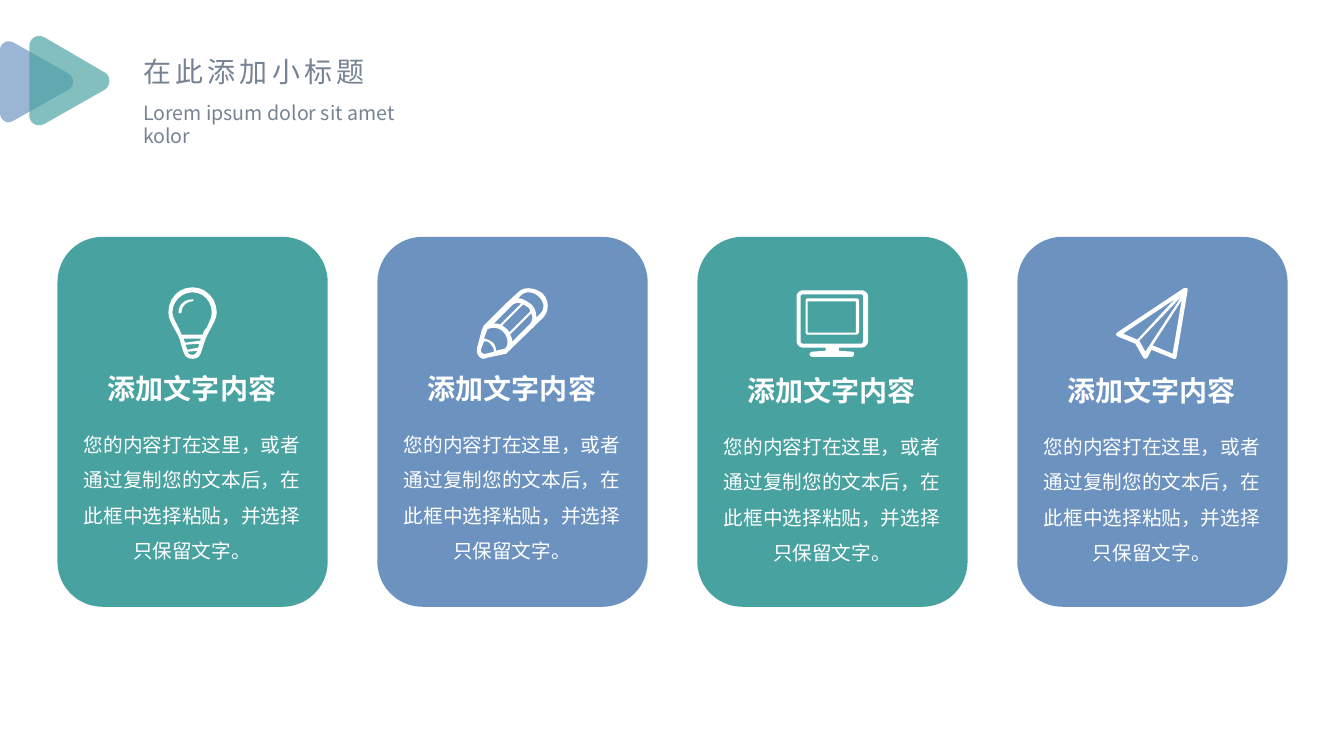
from dataclasses import dataclass

from lxml.etree import SubElement
from pptx import Presentation
from pptx.dml.color import RGBColor
from pptx.enum.shapes import MSO_SHAPE
from pptx.enum.text import MSO_ANCHOR, MSO_AUTO_SIZE, PP_ALIGN
from pptx.oxml.ns import qn
from pptx.util import Inches, Pt


@dataclass(frozen=True)
class Theme:
    font: str = "Noto Sans CJK SC"
    teal: str = "48A2A0"
    blue: str = "6C92C0"
    gray: str = "768394"
    white: str = "FFFFFF"
    head: int = 20
    body: int = 14


THEME = Theme()
STEPS = 6  # segments for each curve

# Outlines in hundredths of an inch; C takes two handles and an end point
BACK = ["68,73 13,42 C 7,39 0,43 0,50 0,112 C 0,119 7,124 13,120 "
        "68,89 C 74,85 74,77 68,73"]
FRONT = ["104,72 44,37 C 37,33 29,38 29,46 29,115 C 29,122 37,127 44,123 "
         "104,89 C 110,85 110,75 104,72"]
BULB = [
    # glass
    "201,332 180,332 C 179,329 178,327 177,325 C 174,319 171,314 171,310 "
    "C 171,299 180,290 191,290 C 202,290 210,299 210,310 "
    "C 210,314 208,319 205,325 C 203,327 202,329 201,332",
    # screw base
    "191,352 C 188,352 187,351 186,349 196,348 C 194,351 193,352 191,352",
    "184,340 C 183,339 183,338 182,336 199,336 C 199,337 199,338 198,338",
    "196,345 186,347 C 185,346 185,344 184,342 198,341 "
    "C 198,341 197,342 197,343 C 197,344 197,345 196,345",
    # rim
    "191,285 C 177,285 167,296 167,310 C 167,319 175,328 178,336 "
    "C 182,349 182,356 191,356 C 200,356 199,349 204,336 "
    "C 207,328 215,318 215,310 C 215,296 204,285 191,285",
]
SHINE = ["191,297 C 183,297 177,302 177,310 C 177,310 178,311 179,311 "
         "C 179,311 180,310 180,310 C 180,304 185,299 191,299 "
         "C 191,299 192,298 192,298 C 192,297 191,297 191,297"]
PENCIL = [
    # eraser
    "536,311 532,315 C 532,309 530,305 527,302 C 523,299 518,296 514,296 "
    "517,293 C 519,291 522,290 524,290 C 528,290 532,292 534,294 "
    "C 537,297 539,300 539,303 C 539,307 538,309 536,311",
    # wood and tip
    "492,348 C 492,345 491,342 489,340 C 486,338 483,336 480,336 483,328 "
    "483,327 C 488,324 495,325 499,329 C 504,334 505,342 501,346 500,346",
    "482,351 480,351 C 479,351 477,350 477,348 477,347 480,339 "
    "C 482,338 485,339 487,342 C 489,344 490,346 490,349",
    # stripes
    "496,322 C 494,321 492,321 490,321 507,304 C 509,301 513,300 517,301",
    "505,330 C 505,329 504,327 502,326 C 501,325 500,324 498,323 519,302 "
    "C 521,303 522,304 524,305 C 525,306 526,308 526,309",
    "508,338 C 508,336 507,334 506,332 527,311 "
    "C 529,315 528,319 525,322 508,339",
    # rim
    "538,291 C 534,288 529,286 524,286 C 520,286 517,287 514,290 503,300 "
    "480,323 C 479,324 479,326 478,327 473,346 473,348 "
    "C 473,352 476,356 480,356 C 481,356 483,355 483,355 502,351 "
    "C 503,350 504,349 505,348 539,315 C 545,308 545,298 538,291",
]
SCREEN = [
    "849,330 801,330 801,299 849,299",
    "849,296 801,296 C 800,296 799,297 799,299 799,329 "
    "C 799,331 800,332 801,332 849,332 C 851,332 852,331 852,329 "
    "852,299 C 852,297 851,296 849,296",
]
MONITOR = [
    "856,338 C 856,340 855,341 854,341 797,341 C 795,341 794,340 794,338 "
    "794,294 C 794,293 795,292 797,292 854,292 C 855,292 856,293 856,294",
    "854,288 797,288 C 793,288 790,291 790,294 790,338 "
    "C 790,342 793,345 797,345 819,345 819,348 805,349 "
    "C 804,350 803,350 803,351 C 803,353 804,354 806,354 845,354 "
    "C 846,354 847,353 847,351 C 847,350 847,350 846,349 832,348 "
    "832,345 854,345 C 858,345 861,342 861,338 861,294 "
    "C 861,291 858,288 854,288",
]
PLANE = [
    # folds
    "1163,351 1144,343 1143,343 1172,298",
    "1130,338 1172,294 1136,349",
    "1114,331 1165,297 1128,337",
    # rim
    "1177,286 1176,286 C 1175,286 1175,286 1174,286 1108,330 "
    "C 1108,330 1107,331 1107,332 C 1107,333 1108,333 1109,334 1126,341 "
    "1134,355 C 1134,355 1135,356 1136,356 C 1137,356 1137,355 1138,355 "
    "1142,347 1164,356 1166,356 C 1166,355 1167,355 1167,354 1178,288 "
    "C 1178,287 1178,286 1177,286",
]

HEAD = "添加文字内容"
BODY = "您的内容打在这里，或者通过复制您的文本后，在此框中选择粘贴，并选择只保留文字。"
# Icon layers and text drop of each card
CARDS = [([BULB, SHINE], 0), ([PENCIL], 0),
         ([SCREEN, MONITOR], 0.02), ([PLANE], 0.02)]


def paint(shape, color):
    shape.fill.solid()
    shape.fill.fore_color.rgb = RGBColor.from_string(color)
    shape.line.fill.background()
    shape.shadow.inherit = False


def point(mark):
    return tuple(Inches(int(n) / 100) for n in mark.split(","))


def curve(a, b, c, d):
    for step in range(1, STEPS + 1):
        t = step / STEPS
        u = 1 - t
        yield tuple(u**3 * p + 3 * u * u * t * q + 3 * u * t * t * r + t**3 * s
                    for p, q, r, s in zip(a, b, c, d))


def trace(outline):
    dots = []
    marks = iter(outline.split())
    for mark in marks:
        if mark == "C":
            ends = [point(next(marks)) for _ in range(3)]
            dots.extend(curve(dots[-1], *ends))
        else:
            dots.append(point(mark))
    return dots


def draw(slide, outlines, color, alpha=None):
    first, *rest = [trace(outline) for outline in outlines]
    pen = slide.shapes.build_freeform(*first[0], scale=1.0)
    pen.add_line_segments(first[1:], close=True)
    for dots in rest:
        pen.move_to(*dots[0])
        pen.add_line_segments(dots[1:], close=True)
    shape = pen.convert_to_shape()
    paint(shape, color)
    if alpha:
        tint = shape.element.find(".//" + qn("a:srgbClr"))
        SubElement(tint, qn("a:alpha")).set("val", str(alpha * 1000))


def write(box, place, text, size, color, bold=False, wrap=True,
          align=PP_ALIGN.LEFT, space=1.0, track=0):
    box.left, box.top, box.width, box.height = map(Inches, place)
    frame = box.text_frame
    frame.word_wrap = wrap
    frame.auto_size = MSO_AUTO_SIZE.SHAPE_TO_FIT_TEXT
    frame.vertical_anchor = MSO_ANCHOR.TOP
    para = frame.paragraphs[0]
    para.alignment = align
    para.line_spacing = space
    para.space_before = Pt(0)
    run = para.add_run()
    run.text = text
    font = run.font
    font.size, font.bold, font.name = Pt(size), bold, THEME.font
    font.color.rgb = RGBColor.from_string(color)
    props = run.font._element
    SubElement(props, qn("a:ea")).set("typeface", THEME.font)
    if track:
        props.set("spc", str(track * 100))


def label(slide, *args, **style):
    write(slide.shapes.add_textbox(0, 0, 0, 0), *args, **style)


def card(slide, left, color, layers, drop):
    wide = 2.68
    mid = left + wide / 2
    shape = slide.shapes.add_shape(
        MSO_SHAPE.ROUNDED_RECTANGLE,
        Inches(left), Inches(2.35), Inches(wide), Inches(3.67))
    paint(shape, color)
    label(slide, (mid - 0.97, 3.64 + drop, 1.93, 0.44), HEAD, THEME.head,
          THEME.white, bold=True, wrap=False, align=PP_ALIGN.CENTER)
    label(slide, (mid - 1.25, 4.13 + drop, 2.49, 1.51), BODY, THEME.body,
          THEME.white, align=PP_ALIGN.CENTER, space=1.5)
    for layer in layers:
        draw(slide, layer, THEME.white)


def main():
    deck = Presentation()
    deck.slide_width, deck.slide_height = Inches(13.33), Inches(7.5)
    slide = deck.slides.add_slide(deck.slide_layouts[5])

    # Header
    write(slide.shapes.title, (1.32, 0.49, 2.46, 0.44), "在此添加小标题",
          THEME.head, THEME.gray, wrap=False, track=3)
    label(slide, (1.32, 0.95, 3.19, 0.34), "Lorem ipsum dolor sit amet kolor",
          THEME.body, THEME.gray)
    draw(slide, BACK, THEME.blue, alpha=68)
    draw(slide, FRONT, THEME.teal, alpha=68)

    # Cards
    pitch = (10.09 - 0.57) / (len(CARDS) - 1)
    for i, (layers, drop) in enumerate(CARDS):
        color = (THEME.teal, THEME.blue)[i % 2]
        card(slide, 0.57 + i * pitch, color, layers, drop)

    deck.save("out.pptx")


if __name__ == "__main__":
    main()
